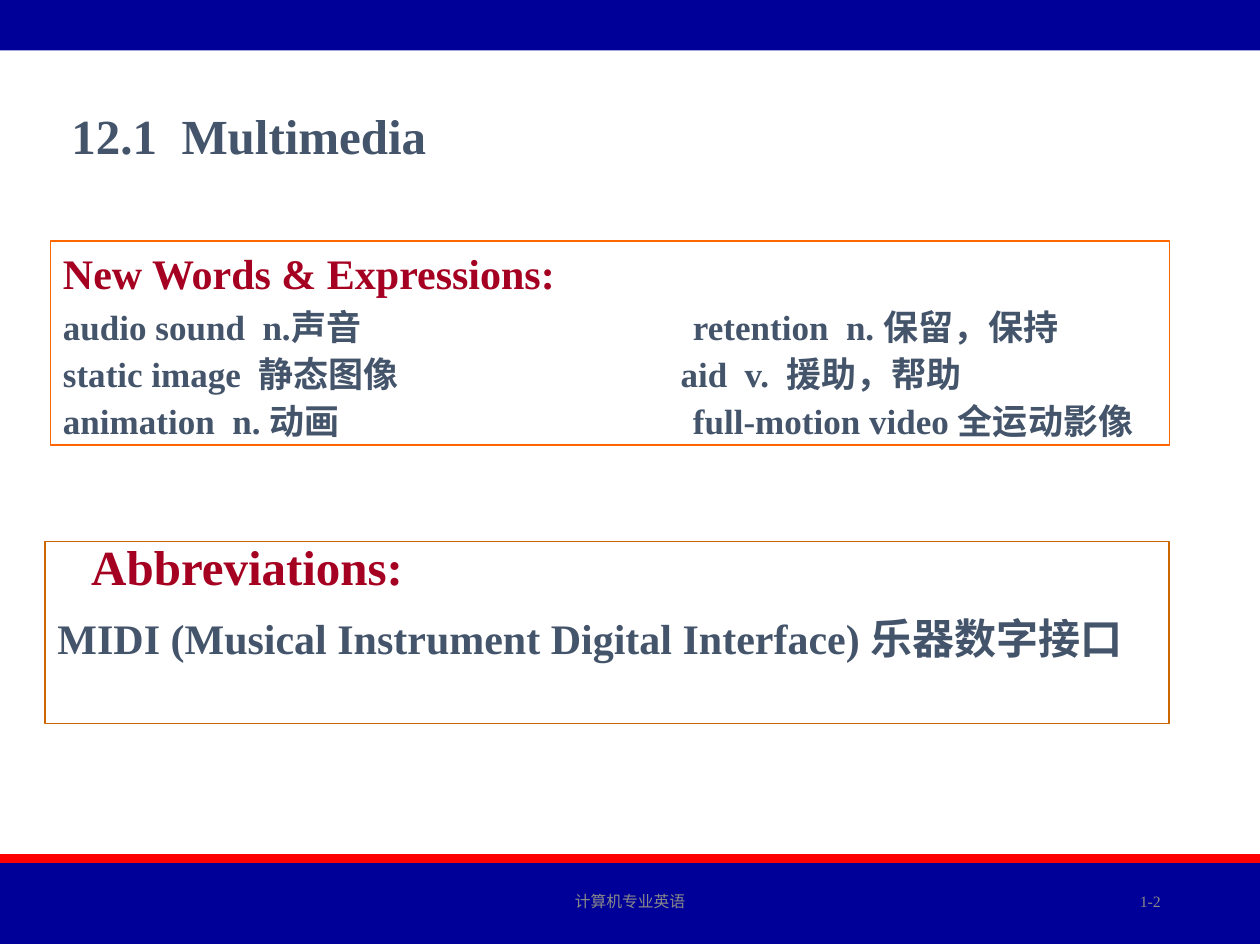
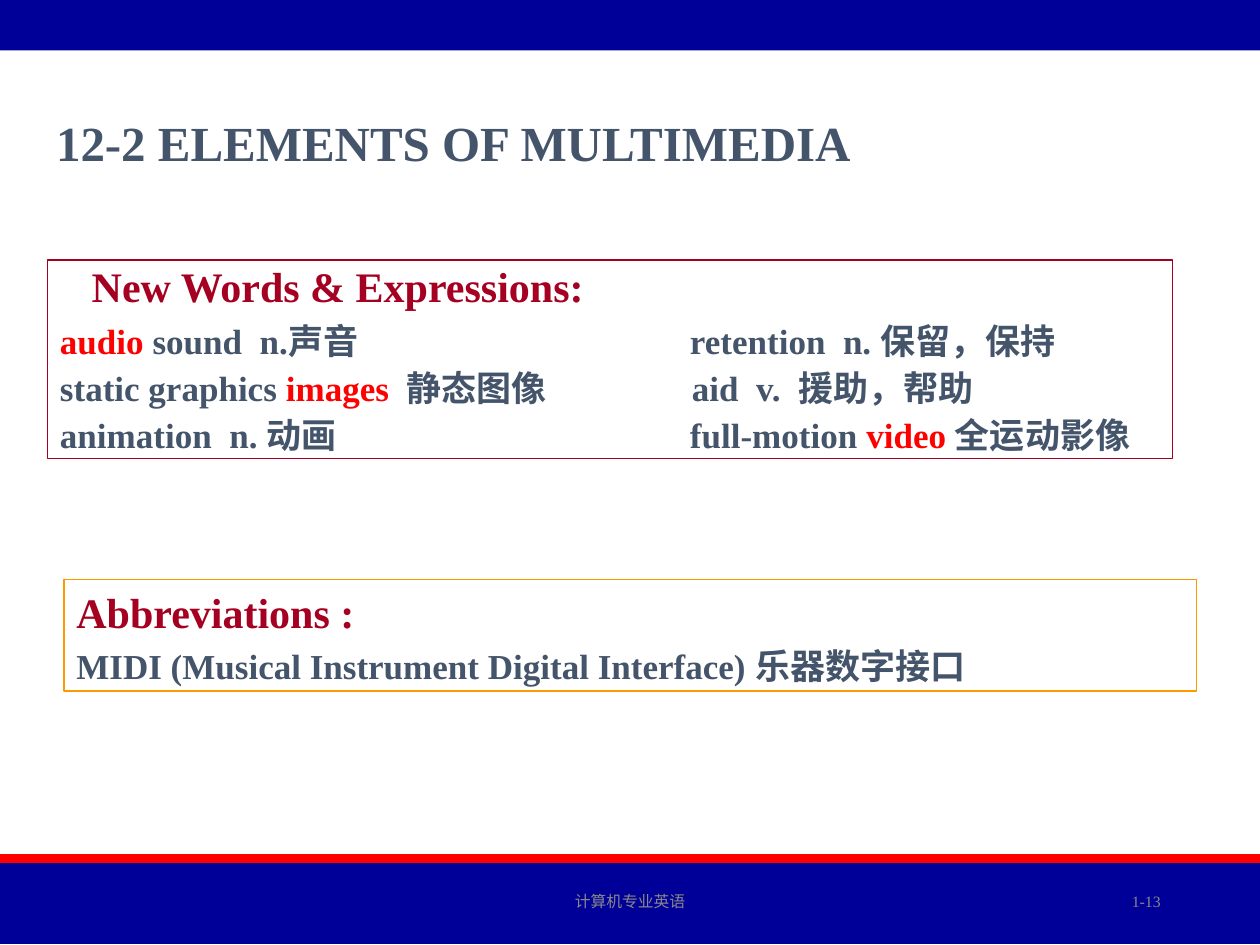
from dataclasses import dataclass

from lxml import etree
from pptx import Presentation
from pptx.dml.color import RGBColor
from pptx.enum.shapes import MSO_SHAPE
from pptx.enum.text import MSO_ANCHOR, MSO_AUTO_SIZE, PP_ALIGN
from pptx.oxml.ns import qn
from pptx.util import Cm, Pt

# Colours, fonts and enum members
NAVY = RGBColor(0x00, 0x00, 0x99)
RED = RGBColor(0xFF, 0x00, 0x00)
CRIMSON = RGBColor(0xA5, 0x00, 0x21)
SLATE = RGBColor(0x44, 0x54, 0x6A)
GREY = RGBColor(0x89, 0x89, 0x89)
ORANGE = RGBColor(0xFF, 0x66, 0x00)
BROWN = RGBColor(0xCC, 0x66, 0x00)
AMBER = RGBColor(0xFF, 0x99, 0x00)
LATIN_FONT = "Times New Roman"
CHINESE_FONT = "Noto Sans CJK SC"
RECTANGLE = MSO_SHAPE.RECTANGLE
TOP, MIDDLE = MSO_ANCHOR.TOP, MSO_ANCHOR.MIDDLE
LEFT, CENTER, RIGHT = PP_ALIGN.LEFT, PP_ALIGN.CENTER, PP_ALIGN.RIGHT
NO_AUTOSIZE = MSO_AUTO_SIZE.NONE

TITLE_ONLY = 5
SLIDE_WIDTH, SLIDE_HEIGHT = Cm(25.4), Cm(19.05)
COURSE_NAME = "计算机专业英语"
COLUMN = 12.7  # tab stop of the right-hand word column, in cm


@dataclass(frozen=True)
class Area:
    """Left, top, width and height in centimetres."""
    left: float
    top: float
    width: float
    height: float

    def lengths(self) -> tuple[Cm, Cm, Cm, Cm]:
        return Cm(self.left), Cm(self.top), Cm(self.width), Cm(self.height)


@dataclass(frozen=True)
class Span:
    text: str
    color: RGBColor = SLATE


@dataclass(frozen=True)
class Line:
    spans: tuple[Span, ...]
    size: float = 20
    spacing: float | Pt = Pt(14.4)
    before: float = 12.5
    indent: float = 0
    tab: float = COLUMN


@dataclass(frozen=True)
class Panel:
    area: Area
    border: RGBColor
    lines: tuple[Line, ...]


@dataclass(frozen=True)
class Lesson:
    title: str
    title_area: Area
    number: str
    panels: tuple[Panel, ...]


# Parts every slide shares
BANDS = (
    (Area(0, 0, 25.4, 1.02), NAVY),
    (Area(0, 17.22, 25.4, 0.18), RED),
    (Area(0, 17.4, 25.4, 1.63), NAVY),
)
COURSE_AREA = Area(8.42, 17.65, 8.56, 1.02)
NUMBER_AREA = Area(17.93, 17.65, 5.72, 1.02)


def heading(text: str, size: float = 24, spacing: float = 1.0, indent: float = 0) -> Line:
    return Line((Span(text, CRIMSON),), size, spacing, 0, indent)


def entry(*parts: str | Span, tab: float = COLUMN, before: float = 12.5) -> Line:
    spans = tuple(part if isinstance(part, Span) else Span(part) for part in parts)
    return Line(spans, before=before, tab=tab)


FIRST_GAP = 13.8  # space between a heading and its first entry, in points
MIDI = "MIDI (Musical Instrument Digital Interface) 乐器数字接口"

LESSONS = (
    Lesson("12.1  Multimedia", Area(1.19, 2, 21.79, 1.45), "1-2", (
        Panel(Area(1.02, 4.86, 22.56, 4.11), ORANGE, (
            heading("New Words & Expressions:"),
            entry("audio sound  n.声音\tretention  n. 保留，保持", before=FIRST_GAP),
            entry("static image  静态图像\taid  v.  援助，帮助", tab=12.45),
            entry("animation  n. 动画\tfull-motion video 全运动影像"),
        )),
        Panel(Area(0.91, 10.92, 22.66, 3.67), BROWN, (
            heading("Abbreviations:", 28, 0.8, 0.68),
            Line((Span(MIDI),), 24, Pt(25), 13.5),
        )),
    )),
    Lesson("12-2 ELEMENTS OF MULTIMEDIA", Area(0.88, 2.13, 21.79, 1.45), "1-13", (
        Panel(Area(0.96, 5.24, 22.68, 4.01), CRIMSON, (
            heading("New Words & Expressions:", 24, 0.9, 0.64),
            entry(Span("audio", RED), " sound  n.声音\tretention  n. 保留，保持",
                  before=FIRST_GAP),
            entry("static graphics ", Span("images  ", RED),
                  "静态图像\taid  v.  援助，帮助", tab=12.74),
            entry("animation  n. 动画\tfull-motion ", Span("video ", RED), "全运动影像"),
        )),
        Panel(Area(1.29, 11.69, 22.83, 2.24), AMBER, (
            heading("Abbreviations :"),
            entry(MIDI, before=FIRST_GAP),
        )),
    )),
)


def prepare_frame(frame, anchor=TOP) -> None:
    frame.word_wrap = True
    frame.auto_size = NO_AUTOSIZE
    frame.vertical_anchor = anchor
    frame.margin_left = frame.margin_right = Cm(0.25)
    frame.margin_top = frame.margin_bottom = Cm(0.13)


def add_run(para, span: Span, size: float, bold: bool = True) -> None:
    run = para.add_run()
    run.text = span.text
    run.font.size = Pt(size)
    run.font.bold = bold
    run.font.color.rgb = span.color
    run.font.name = LATIN_FONT
    latin = run.font._element.find(qn("a:latin"))
    east_asian = etree.Element(qn("a:ea"), typeface=CHINESE_FONT)
    latin.addnext(east_asian)


def format_line(para, line: Line) -> None:
    properties = para._p.get_or_add_pPr()
    # An explicit indent makes LibreOffice drop the tab stops
    if line.indent:
        properties.set("indent", str(int(Cm(line.indent))))
    if any("\t" in span.text for span in line.spans):
        tabs = etree.SubElement(properties, qn("a:tabLst"))
        etree.SubElement(tabs, qn("a:tab"), pos=str(int(Cm(line.tab))), algn="l")
    para.alignment = LEFT
    para.line_spacing = line.spacing
    para.space_before = Pt(line.before)
    for span in line.spans:
        add_run(para, span, line.size)


def add_rectangle(page, area: Area):
    box = page.shapes.add_shape(RECTANGLE, *area.lengths())
    box.shadow.inherit = False
    return box


def add_band(page, area: Area, color: RGBColor) -> None:
    band = add_rectangle(page, area)
    band.fill.solid()
    band.fill.fore_color.rgb = color
    band.line.fill.background()


def add_footer(page, area: Area, text: str, alignment) -> None:
    frame = page.shapes.add_textbox(*area.lengths()).text_frame
    prepare_frame(frame, MIDDLE)
    para = frame.paragraphs[0]
    para.alignment = alignment
    add_run(para, Span(text, GREY), 9, bold=False)


def add_panel(page, panel: Panel) -> None:
    box = add_rectangle(page, panel.area)
    box.fill.background()
    box.line.color.rgb = panel.border
    box.line.width = Pt(0.75)
    frame = box.text_frame
    prepare_frame(frame)
    for index, line in enumerate(panel.lines):
        para = frame.add_paragraph() if index else frame.paragraphs[0]
        format_line(para, line)


def set_title(page, text: str, area: Area) -> None:
    title = page.shapes.title
    title.left, title.top, title.width, title.height = area.lengths()
    prepare_frame(title.text_frame)
    para = title.text_frame.paragraphs[0]
    para.alignment = LEFT
    para.space_before = Pt(0)
    add_run(para, Span(text), 28)


def add_lesson(deck, lesson: Lesson) -> None:
    page = deck.slides.add_slide(deck.slide_layouts[TITLE_ONLY])
    for area, color in BANDS:
        add_band(page, area, color)
    add_footer(page, COURSE_AREA, COURSE_NAME, CENTER)
    add_footer(page, NUMBER_AREA, lesson.number, RIGHT)
    set_title(page, lesson.title, lesson.title_area)
    for panel in lesson.panels:
        add_panel(page, panel)


def main() -> None:
    deck = Presentation()
    deck.slide_width, deck.slide_height = SLIDE_WIDTH, SLIDE_HEIGHT
    for lesson in LESSONS:
        add_lesson(deck, lesson)
    deck.save("out.pptx")


if __name__ == "__main__":
    main()
